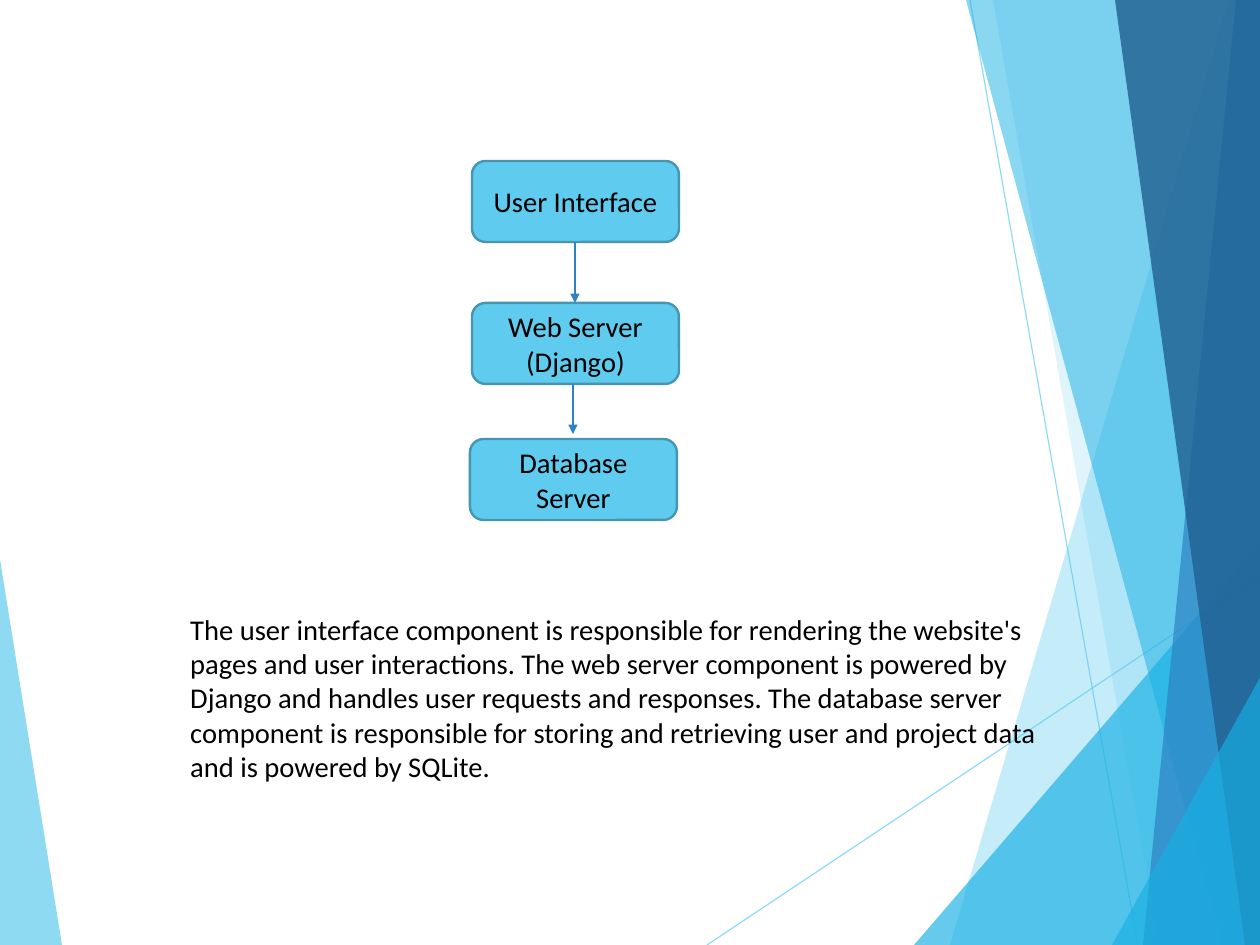
"""Build a slide with a three-tier architecture flow and its description."""
from dataclasses import dataclass

import pptx
import pptx.dml.color
import pptx.enum.shapes
import pptx.enum.text
import pptx.oxml.ns
import pptx.shapes.base
import pptx.slide
import pptx.text.text
import pptx.util
from lxml import etree

RGBColor = pptx.dml.color.RGBColor
SKY = RGBColor(0x5F, 0xCB, 0xEF)
CYAN = RGBColor(0x17, 0xB0, 0xE4)
BLUE = RGBColor(0x2E, 0x83, 0xC3)
NAVY = RGBColor(0x22, 0x62, 0x92)
BOX_EDGE = RGBColor(0x46, 0x96, 0xB1)
BLACK = RGBColor(0, 0, 0)

EMU_PER_PX = 8000
WIDTH, HEIGHT = 1260, 945
RIGHT = 1262
BOX_WIDTH, BOX_HEIGHT = 207, 81
FONT = "Calibri"
FONT_SIZE = 18

DESCRIPTION = (
    "The user interface component is responsible for rendering the website's pages "
    "and user interactions. The web server component is powered by Django and handles "
    "user requests and responses. The database server component is responsible for "
    "storing and retrieving user and project data and is powered by SQLite."
)


@dataclass(frozen=True)
class Facet:
    points: tuple[tuple[int, int], ...]
    color: RGBColor
    opacity: int


@dataclass(frozen=True)
class Line:
    start: tuple[int, int]
    end: tuple[int, int]
    color: RGBColor
    weight: float
    opacity: int = 100
    arrow: bool = False


@dataclass(frozen=True)
class Tier:
    label: str
    left: int
    top: int


def band(top_left: int, bottom_left: int, color: RGBColor, opacity: int) -> Facet:
    """Return a full-height facet that reaches the right edge."""
    corners = ((top_left, 0), (bottom_left, HEIGHT), (RIGHT, HEIGHT), (RIGHT, 0))
    return Facet(corners, color, opacity)


def wedge(left: int, top: int) -> Facet:
    """Return a triangle in the bottom right corner."""
    return Facet(((left, HEIGHT), (RIGHT, top), (RIGHT, HEIGHT)), CYAN, 66)


BACKDROP = (
    Facet(((-1, 553), (62, HEIGHT), (-1, HEIGHT)), SKY, 70),
    Line((707, HEIGHT), (RIGHT, 575), SKY, 0.75, 70),
    Line((970, 0), (1138, HEIGHT), SKY, 0.75, 70),
    band(1229, 950, SKY, 36),
    band(993, 1159, SKY, 20),
    wedge(914, 541),
    band(966, 1222, CYAN, 50),
    band(1236, 1143, BLUE, 70),
    band(1115, 1245, NAVY, 82),
    wedge(1112, 674),
)
TIERS = (
    Tier("User Interface", 472, 161),
    Tier("Web Server (Django)", 472, 303),
    Tier("Database Server", 470, 439),
)
ARROWS = (
    Line((575, 242), (575, 303), BLUE, 1, arrow=True),
    Line((573, 384), (573, 434), BLUE, 1, arrow=True),
)


def px(length: int) -> pptx.util.Emu:
    """Turn px into EMU."""
    return pptx.util.Emu(length * EMU_PER_PX)


def set_opacity(shape: pptx.shapes.base.BaseShape, percent: int) -> None:
    """Make the explicit colours of a shape translucent."""
    for color in shape.element.iter(pptx.oxml.ns.qn("a:srgbClr")):
        alpha = etree.SubElement(color, pptx.oxml.ns.qn("a:alpha"))
        alpha.set("val", str(percent * 1000))


def set_text(frame: pptx.text.text.TextFrame, text: str) -> None:
    """Write one paragraph in the slide's text style."""
    frame.word_wrap = True
    paragraph = frame.paragraphs[0]
    paragraph.text = text
    paragraph.font.name = FONT
    paragraph.font.size = pptx.util.Pt(FONT_SIZE)
    paragraph.font.color.rgb = BLACK


def draw_facet(slide: pptx.slide.Slide, facet: Facet) -> None:
    """Draw a translucent polygon."""
    builder = slide.shapes.build_freeform(*facet.points[0], scale=EMU_PER_PX)
    builder.add_line_segments(facet.points[1:], close=True)
    polygon = builder.convert_to_shape()
    polygon.shadow.inherit = False
    polygon.fill.solid()
    polygon.fill.fore_color.rgb = facet.color
    polygon.line.fill.background()
    set_opacity(polygon, facet.opacity)


def draw_line(slide: pptx.slide.Slide, line: Line) -> None:
    """Draw a straight line, with an arrowhead where asked for."""
    connector = slide.shapes.add_connector(
        pptx.enum.shapes.MSO_CONNECTOR.STRAIGHT, *map(px, line.start + line.end)
    )
    connector.line.color.rgb = line.color
    connector.line.width = pptx.util.Pt(line.weight)
    if line.opacity < 100:
        set_opacity(connector, line.opacity)
    if line.arrow:
        outline = connector.get_or_add_ln()
        head = etree.SubElement(outline, pptx.oxml.ns.qn("a:tailEnd"))
        head.set("type", "triangle")
    etree.SubElement(connector.element.spPr, pptx.oxml.ns.qn("a:effectLst"))


def draw_tier(slide: pptx.slide.Slide, tier: Tier) -> None:
    """Draw a labelled rounded box."""
    box = slide.shapes.add_shape(
        pptx.enum.shapes.MSO_SHAPE.ROUNDED_RECTANGLE,
        *map(px, (tier.left, tier.top, BOX_WIDTH, BOX_HEIGHT)),
    )
    box.shadow.inherit = False
    box.fill.solid()
    box.fill.fore_color.rgb = SKY
    box.line.color.rgb = BOX_EDGE
    box.line.width = pptx.util.Pt(1.5)
    set_text(box.text_frame, tier.label)
    box.text_frame.vertical_anchor = pptx.enum.text.MSO_ANCHOR.MIDDLE
    box.text_frame.paragraphs[0].alignment = pptx.enum.text.PP_ALIGN.CENTER


def main() -> None:
    """Build and save the slide."""
    presentation = pptx.Presentation()
    presentation.slide_width = px(WIDTH)
    presentation.slide_height = px(HEIGHT)
    slide = presentation.slides.add_slide(presentation.slide_layouts[6])
    for part in BACKDROP:
        if isinstance(part, Facet):
            draw_facet(slide, part)
        else:
            draw_line(slide, part)
    for tier in TIERS:
        draw_tier(slide, tier)
    for arrow in ARROWS:
        draw_line(slide, arrow)
    description = slide.shapes.add_textbox(*map(px, (179, 606, 882, 185)))
    set_text(description.text_frame, DESCRIPTION)
    description.text_frame.auto_size = pptx.enum.text.MSO_AUTO_SIZE.SHAPE_TO_FIT_TEXT
    presentation.save("out.pptx")


if __name__ == "__main__":
    main()
